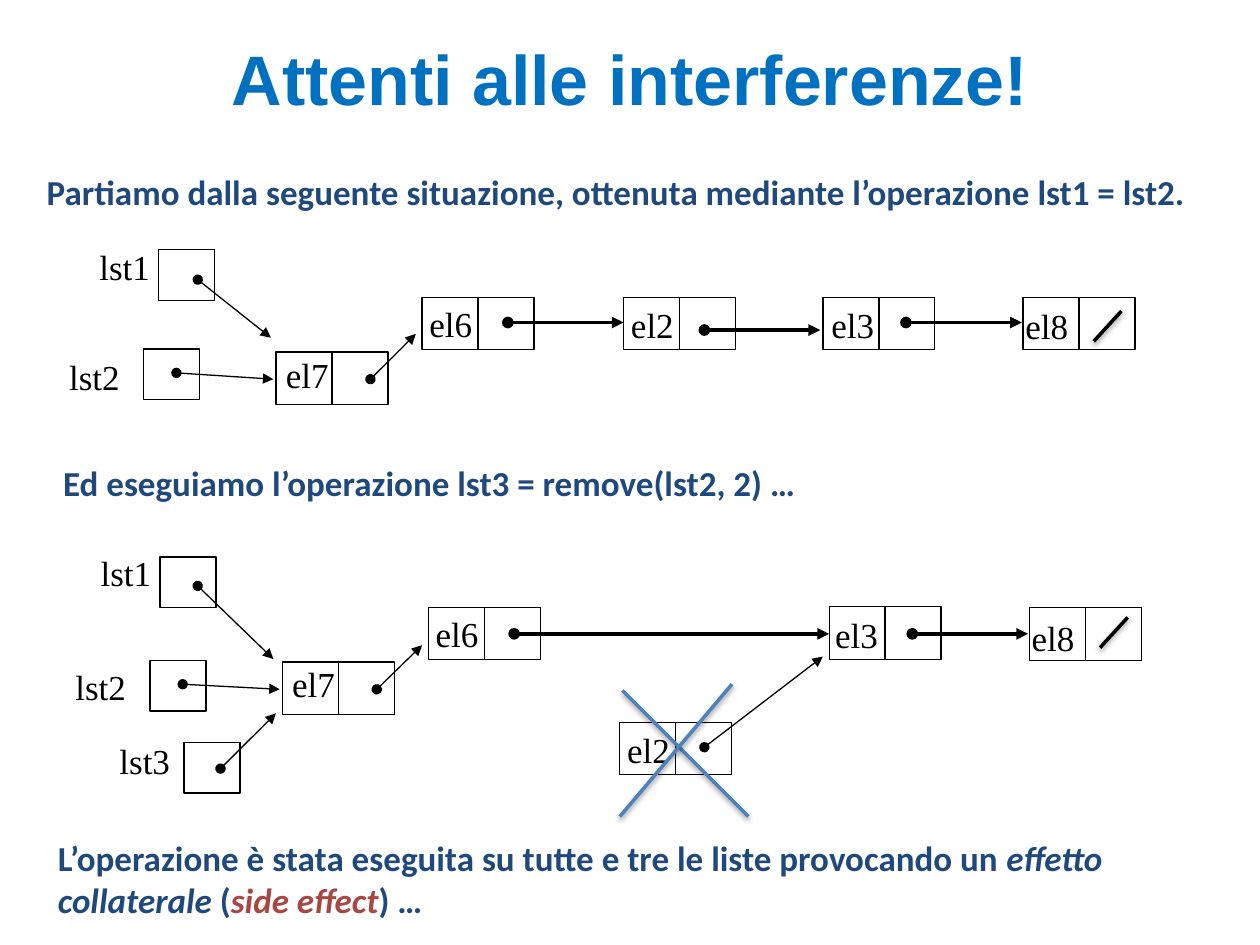
from lxml import etree
from pptx import Presentation
from pptx.dml.color import RGBColor
from pptx.enum.shapes import MSO_CONNECTOR, MSO_SHAPE
from pptx.enum.text import MSO_ANCHOR, MSO_AUTO_SIZE, PP_ALIGN
from pptx.oxml.ns import qn
from pptx.util import Pt

RECT = MSO_SHAPE.RECTANGLE
STRAIGHT = MSO_CONNECTOR.STRAIGHT
MIDDLE = MSO_ANCHOR.MIDDLE
CENTER = PP_ALIGN.CENTER
FIT = MSO_AUTO_SIZE.SHAPE_TO_FIT_TEXT

COLORS = {"title": "0070C0", "body": "1F497D", "accent": "A84643",
          "ink": "000000", "cross": "4F81BD"}
TITLE = {"name": "Arial", "size": Pt(40), "bold": True}
BODY = {"name": "Calibri", "size": Pt(20), "bold": True}
LABEL = {"name": "Times New Roman", "size": Pt(20)}
CELL_W, CELL_H, POINTER_H = 32, 30, 29
THIN, THICK, STROKE = 0.75, 2.25, 2


def rgb(name):
    return RGBColor.from_string(COLORS[name])


def add_run(p, text, fmt, color, **extra):
    r = p.add_run()
    r.text = text
    for key, value in {**fmt, **extra}.items():
        setattr(r.font, key, value)
    r.font.color.rgb = rgb(color)


def add_title(s, x, y, w, h, text):
    sp = s.shapes.title
    for key, value in {"left": x, "top": y, "width": w, "height": h}.items():
        setattr(sp, key, Pt(value))
    tf = sp.text_frame
    tf.vertical_anchor = MIDDLE
    p = tf.paragraphs[0]
    p.alignment = CENTER
    add_run(p, text, TITLE, "title")


def add_text(s, x, y, w, h, wrap=False):
    tf = s.shapes.add_textbox(Pt(x), Pt(y), Pt(w), Pt(h)).text_frame
    tf.word_wrap = wrap
    tf.auto_size = FIT
    return tf.paragraphs[0]


def add_body(s, x, y, w, h, runs, wrap=False):
    p = add_text(s, x, y, w, h, wrap)
    p._p.get_or_add_pPr().set("marL", str(Pt(3)))
    for text, color, italic in runs:
        add_run(p, text, BODY, color, italic=italic)


def add_cell(s, x, y, h):
    sp = s.shapes.add_shape(RECT, Pt(x), Pt(y), Pt(CELL_W), Pt(h))
    sp.shadow.inherit = False
    sp.fill.background()
    sp.line.color.rgb = rgb("ink")
    sp.line.width = Pt(THIN)


def add_line(s, x, y, ends, width, color="ink"):
    x1, y1, x2, y2 = ends
    c = s.shapes.add_connector(STRAIGHT, Pt(x + x1), Pt(y + y1),
                               Pt(x + x2), Pt(y + y2))
    c.line.color.rgb = rgb(color)
    c.line.width = Pt(width)
    return c, etree.SubElement(c._element.spPr, qn("a:effectLst"))


def add_arrow(s, x, y, ends, width):
    c, _ = add_line(s, x, y, ends, width)
    ln = c.line._get_or_add_ln()
    for tag, kind in (("a:headEnd", "oval"), ("a:tailEnd", "triangle")):
        etree.SubElement(ln, qn(tag), type=kind)


def add_stroke(s, x, y, ends, color="ink"):
    _, effects = add_line(s, x, y, ends, STROKE, color)
    shadow = etree.SubElement(effects, qn("a:outerShdw"), blurRad=str(Pt(3.1)),
                              dist=str(Pt(1.6)), dir="5400000", rotWithShape="0")
    clr = etree.SubElement(shadow, qn("a:srgbClr"), val=COLORS["ink"])
    etree.SubElement(clr, qn("a:alpha"), val="38000")


def add_pointer(s, x, y, name, label, cell, arrow):
    add_cell(s, x + cell[0], y + cell[1], POINTER_H)
    add_run(add_text(s, x + label[0], y + label[1], 44, 31.5), name, LABEL, "ink")
    add_arrow(s, x, y, arrow, THIN)


def add_node(s, x, y, name, cell, shift):
    left, top = x + cell[0], y + cell[1]
    for col in range(2):
        add_cell(s, left + col * CELL_W, top, CELL_H)
    p = add_text(s, left + shift[0], top + shift[1], 39, 31)
    add_run(p, name, LABEL, "ink")


def add_diagram(s, x, y, pointers, nodes, links, crosses=()):
    for pointer in pointers:
        add_pointer(s, x, y, *pointer)
    for node in nodes:
        add_node(s, x, y, *node)
    for ends, width in links:
        add_arrow(s, x, y, ends, width)
    add_stroke(s, x, y, (592.6, 58.3, 608.4, 41))
    for ends in crosses:
        add_stroke(s, x, y, ends, "cross")


BEFORE = {
    "pointers": [
        ("lst1", (17.3, 0), (58.3, 5.8), (80.6, 23, 122.4, 56.2)),
        ("lst2", (0, 62.6), (49.7, 62.6), (68.4, 76.3, 123.8, 79.9)),
    ],
    "nodes": [
        ("el7", (125.3, 64.4), (-1.4, -3)),
        ("el6", (208.8, 33.1), (-2.9, -0.7)),
        ("el2", (324, 33.1), (-2.9, 0)),
        ("el3", (437.8, 33.1), (-2.2, 0)),
        ("el8", (552.2, 33.1), (-5.8, 0.7)),
    ],
    "links": [
        ((179.3, 79.9, 205.2, 54), THIN),
        ((257.8, 47.5, 324, 47.5), THICK),
        ((370.1, 51.8, 436.3, 51.8), THICK),
        ((485.3, 47.5, 551.5, 47.5), THICK),
    ],
}
AFTER = {
    "pointers": [
        ("lst1", (14.4, 0), (55.4, 6.5), (77, 23, 120.2, 64.8)),
        ("lst2", (0, 64.8), (49.7, 65.5), (68.4, 79.2, 123.8, 82.1)),
        ("lst3", (25.2, 107.3), (69.1, 112.3), (90, 127.4, 121.7, 95.8)),
    ],
    "nodes": [
        ("el7", (125.3, 66.5), (-1.4, -3)),
        ("el6", (208.8, 35.3), (-2.9, -0.7)),
        ("el2", (318.2, 101), (-2.9, 0)),
        ("el3", (437.8, 35), (-3.6, 0)),
        ("el8", (552.2, 35.5), (-5.8, 1.2)),
    ],
    "links": [
        ((179.3, 82.1, 205.2, 56.9), THIN),
        ((257.8, 50.4, 437.8, 50.4), THICK),
        ((366.5, 115.2, 434.2, 63.4), THIN),
        ((485.3, 50.4, 551.5, 50.4), THICK),
    ],
    "crosses": [(319.7, 82.8, 391.7, 154.8), (382.3, 79.2, 318.2, 154.8)],
}


def main():
    prs = Presentation()
    prs.slide_width, prs.slide_height = Pt(720), Pt(540)
    s = prs.slides.add_slide(prs.slide_layouts[5])
    add_title(s, 0, 13, 720, 62.6, "Attenti alle interferenze!")
    add_body(s, 16.6, 93.6, 678.2, 31.5, [
        ("Partiamo dalla seguente situazione, ottenuta mediante "
         "l’operazione lst1 = lst2.", "body", False)])
    add_diagram(s, 32.4, 136.8, **BEFORE)
    add_body(s, 26, 260, 440, 31.5, [
        ("Ed eseguiamo l’operazione lst3 = remove(lst2, 2) …", "body", False)])
    add_diagram(s, 36, 311.8, **AFTER)
    add_body(s, 23, 474.5, 658.8, 55.4, [
        ("L’operazione è stata eseguita su tutte e tre le liste provocando un ",
         "body", False),
        ("effetto collaterale", "body", True),
        (" (", "body", False),
        ("side effect", "accent", True),
        (") …", "body", False)], wrap=True)
    prs.save("out.pptx")


if __name__ == "__main__":
    main()
